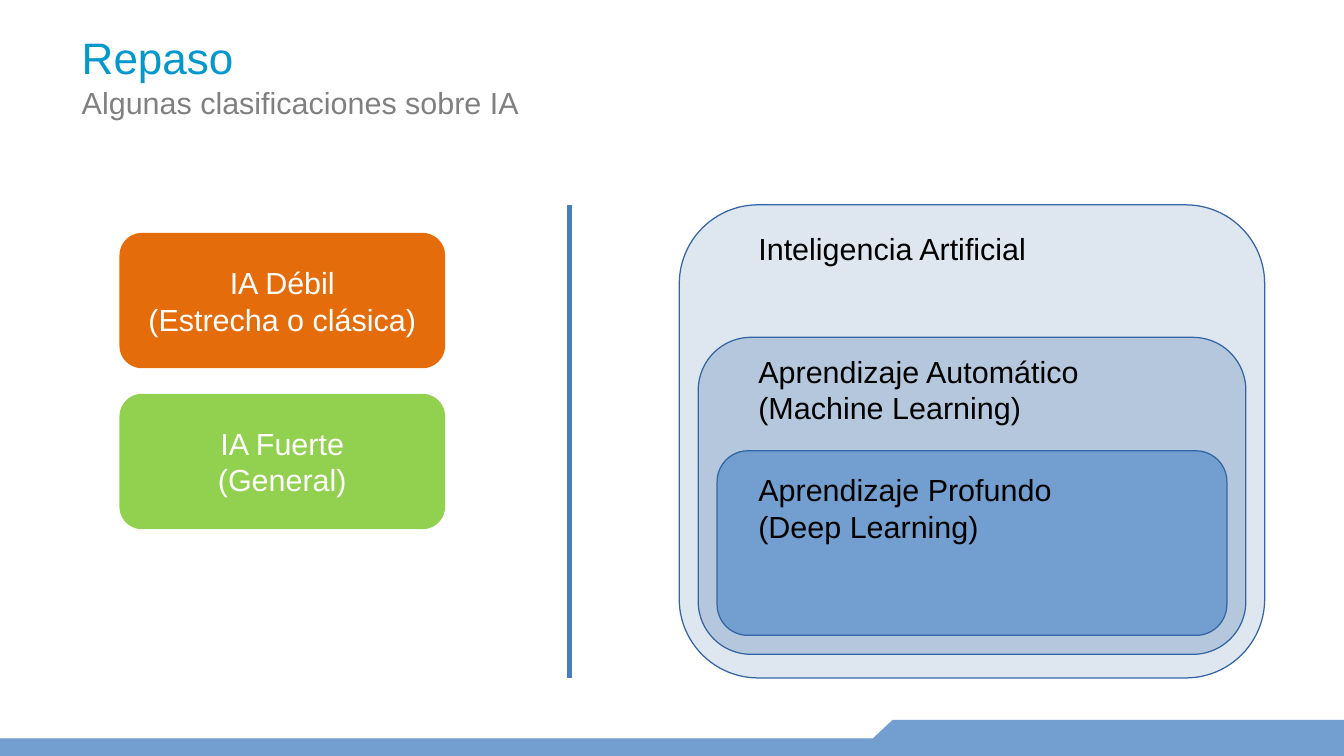
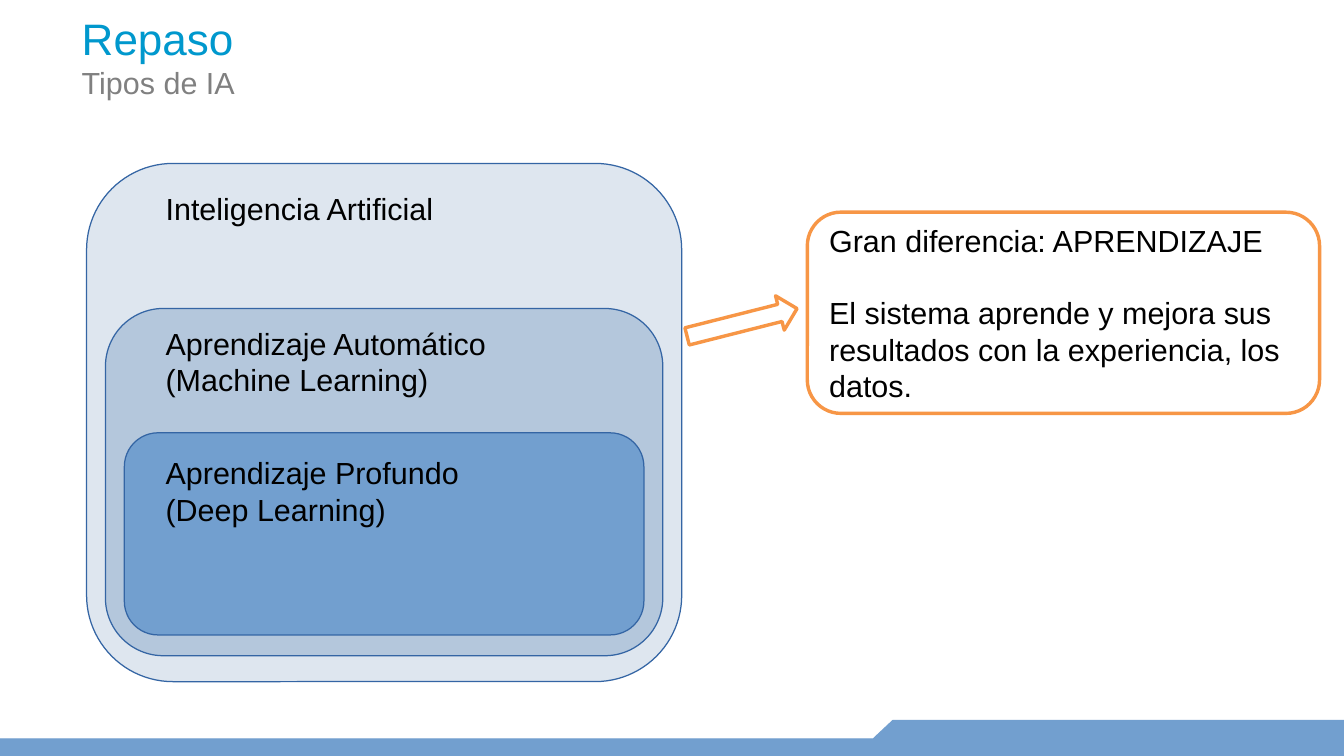
import pptx
import pptx.util
import pptx.dml.color
import pptx.enum.shapes
import pptx.enum.text
import pptx.oxml.ns
import lxml.etree

Inches = pptx.util.Inches
Pt = pptx.util.Pt
SHAPE = pptx.enum.shapes.MSO_SHAPE
ANCHOR = pptx.enum.text.MSO_ANCHOR
ALIGN = pptx.enum.text.PP_ALIGN

WIDTH, HEIGHT = 11.02, 6.2
FONT = "Arial"
BLACK, WHITE = "000000", "FFFFFF"
TITLE, SUBTITLE = "0098CD", "808080"
BAND, OUTLINE, DIVIDER = "729FCF", "3465A4", "4B7EBC"
WEAK, STRONG, ACCENT = "E46C0A", "92D050", "F79646"

LAYERS = [
    ("DEE6EF", 0, 1, 0.04, ["Inteligencia Artificial"]),
    ("B4C7DC", 0.28, 0.67, 0.3, ["Aprendizaje Automático", "(Machine Learning)"]),
    (BAND, 0.52, 0.39, 0.55, ["Aprendizaje Profundo", "(Deep Learning)"]),
]


def rgb(value):
    return pptx.dml.color.RGBColor.from_string(value)


def paint(sp, fill, line=None, weight=0.75):
    sp.shadow.inherit = False
    sp.fill.solid()
    sp.fill.fore_color.rgb = rgb(fill)
    if line:
        sp.line.color.rgb = rgb(line)
        sp.line.width = Pt(weight)
    else:
        sp.line.fill.background()


def add_box(slide, kind, box, fill, line=None, weight=0.75):
    sp = slide.shapes.add_shape(kind, *map(Inches, box))
    paint(sp, fill, line, weight)
    return sp


def write(tf, lines, align=ALIGN.LEFT, anchor=ANCHOR.TOP, gap=0):
    tf.word_wrap = True
    tf.vertical_anchor = anchor
    for i, (text, size, color) in enumerate(lines):
        p = tf.add_paragraph() if i else tf.paragraphs[0]
        p.alignment = align
        if i:
            p.space_before = Pt(gap)
        r = p.add_run()
        r.text = text
        r.font.name = FONT
        r.font.size = Pt(size)
        r.font.color.rgb = rgb(color)


def body(lines, color=BLACK):
    return [(text, 18, color) for text in lines]


def add_title(slide, top, subtitle):
    tf = slide.shapes.add_textbox(*map(Inches, (0.67, top, 9.91, 0.88))).text_frame
    tf.margin_left = tf.margin_right = tf.margin_top = tf.margin_bottom = 0
    write(tf, [("Repaso", 26, TITLE), (subtitle, 18, SUBTITLE)], anchor=ANCHOR.MIDDLE)


def add_footer(slide):
    low, high = 6.06, 5.91
    outline = [(7.16, low), (7.32, high), (WIDTH, high), (WIDTH, HEIGHT), (0, HEIGHT)]
    builder = slide.shapes.build_freeform(0, Inches(low))
    builder.add_line_segments([(Inches(x), Inches(y)) for x, y in outline])
    paint(builder.convert_to_shape(), BAND, BAND)


def add_nested_layers(slide, box):
    left, top, width, height = box
    for i, (fill, start, share, label_start, lines) in enumerate(LAYERS):
        inset = 0.155 * i
        layer = (left + inset, top + start * height, width - 2 * inset, share * height)
        add_box(slide, SHAPE.ROUNDED_RECTANGLE, layer, fill, OUTLINE)
    for fill, start, share, label_start, lines in LAYERS:
        label = (left + 0.55, top + label_start * height, 3.3, 0.34 * len(lines))
        write(slide.shapes.add_textbox(*map(Inches, label)).text_frame, body(lines))


def add_kinds(slide, box):
    left, top, width, height = box
    kinds = [
        (WEAK, ["IA Débil", "(Estrecha o clásica)"]),
        (STRONG, ["IA Fuerte", "(General)"]),
    ]
    gap = 0.21
    each = (height - gap) / 2
    for i, (fill, lines) in enumerate(kinds):
        place = (left, top + i * (each + gap), width, each)
        sp = add_box(slide, SHAPE.ROUNDED_RECTANGLE, place, fill)
        write(sp.text_frame, body(lines, WHITE), ALIGN.CENTER, ANCHOR.MIDDLE)


def add_divider(slide, x, top, bottom):
    line = slide.shapes.add_connector(
        pptx.enum.shapes.MSO_CONNECTOR.STRAIGHT, *map(Inches, (x, top, x, bottom)))
    line.line.color.rgb = rgb(DIVIDER)
    line.line.width = Pt(2.5)
    lxml.etree.SubElement(line._element.spPr, pptx.oxml.ns.qn("a:effectLst"))


def add_callout(slide, box):
    left, top, width, height = box
    sp = add_box(slide, SHAPE.ROUNDED_RECTANGLE, box, WHITE, ACCENT, 2)
    lines = [
        "Gran diferencia: APRENDIZAJE",
        "El sistema aprende y mejora sus resultados con la experiencia, los datos.",
    ]
    write(sp.text_frame, body(lines), anchor=ANCHOR.MIDDLE, gap=21)
    arrow = add_box(slide, SHAPE.RIGHT_ARROW, (left - 1, top + 0.76, 0.93, 0.29),
                    WHITE, ACCENT, 2)
    arrow.rotation = -14.2


def add_slide(prs, title_top, subtitle):
    slide = prs.slides.add_slide(prs.slide_layouts[6])
    add_title(slide, title_top, subtitle)
    add_footer(slide)
    return slide


def build_classification(prs):
    slide = add_slide(prs, 0.18, "Algunas clasificaciones sobre IA")
    add_kinds(slide, (0.98, 1.91, 2.67, 2.43))
    add_divider(slide, 4.67, 1.68, 5.56)
    add_nested_layers(slide, (5.57, 1.68, 4.8, 3.88))


def build_types(prs):
    slide = add_slide(prs, 0.02, "Tipos de IA")
    add_nested_layers(slide, (0.71, 1.34, 4.88, 4.25))
    add_callout(slide, (6.62, 1.74, 4.2, 1.65))


def main():
    prs = pptx.Presentation()
    prs.slide_width = Inches(WIDTH)
    prs.slide_height = Inches(HEIGHT)
    build_classification(prs)
    build_types(prs)
    prs.save("out.pptx")


if __name__ == "__main__":
    main()
